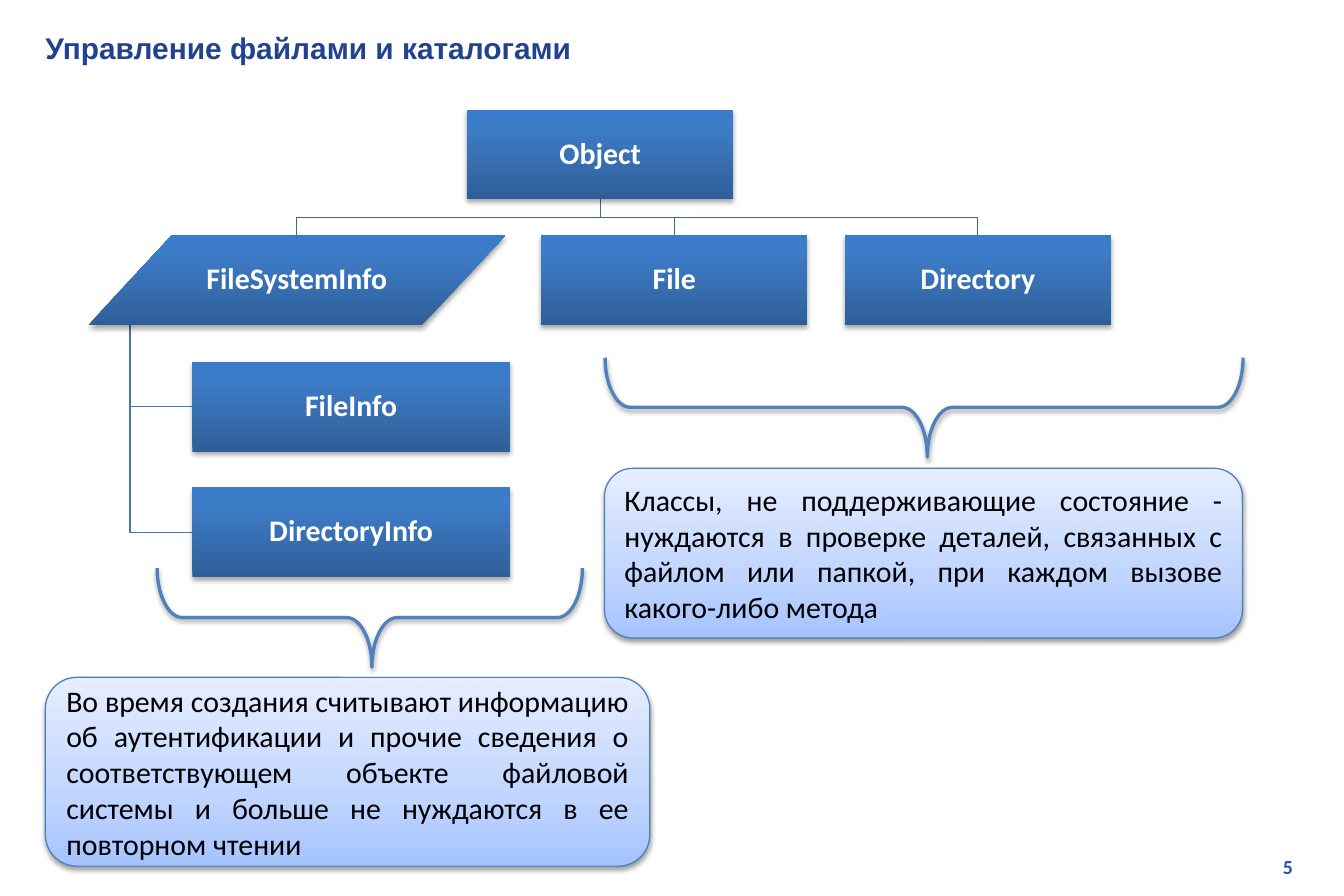
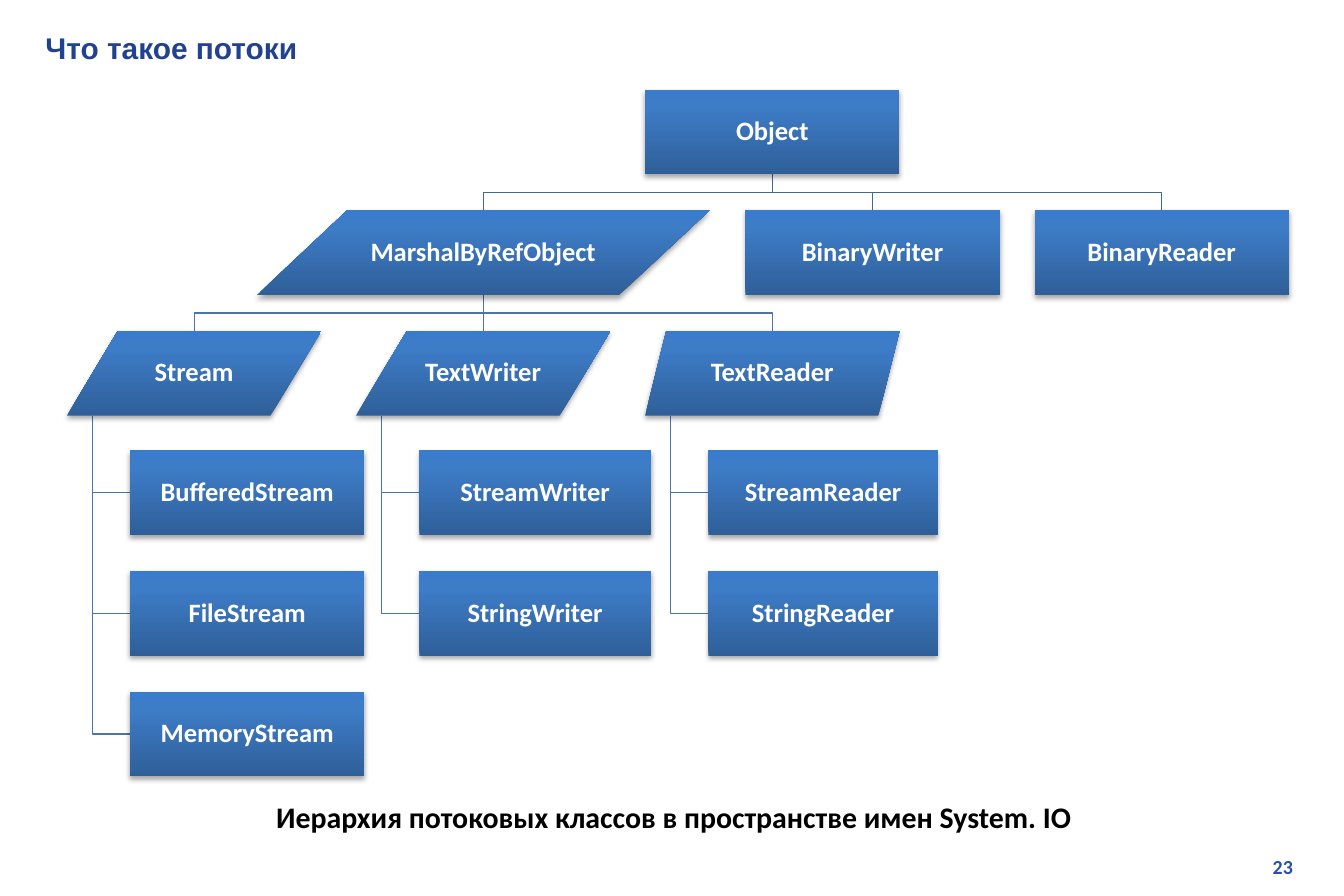
"""Builds two slides with class hierarchies for files and streams."""
from copy import deepcopy

from lxml.etree import SubElement
from pptx import Presentation
from pptx.dml.color import RGBColor
from pptx.enum.shapes import MSO_CONNECTOR as CONN, MSO_SHAPE as SHP
from pptx.enum.text import MSO_ANCHOR as ANCHOR, PP_ALIGN as ALIGN
from pptx.oxml.ns import qn
from pptx.util import Pt

PX = 9144
TITLE_BLUE = RGBColor(0x21, 0x43, 0x8F)
NUMBER_BLUE = RGBColor(0x27, 0x50, 0xAB)
UPPER_LINE = RGBColor(0x3F, 0x67, 0x97)
LOWER_LINE = RGBColor(0x48, 0x75, 0xAC)
BRACE_BLUE = RGBColor(0x4F, 0x81, 0xBD)
NOTE_LINE = RGBColor(0x4B, 0x7E, 0xBC)
WHITE = RGBColor(0xFF, 0xFF, 0xFF)
BLACK = RGBColor(0, 0, 0)
NODE_STOPS = [(0, RGBColor(0x2F, 0x5F, 0x99)), (0.8, RGBColor(0x3D, 0x7C, 0xC7)),
              (1, RGBColor(0x3A, 0x7C, 0xCB))]
NOTE_STOPS = [(0, RGBColor(0xA4, 0xC4, 0xFF)), (0.35, RGBColor(0xBF, 0xD4, 0xFF)),
              (1, RGBColor(0xE6, 0xEE, 0xFF))]
RECT, SLANT, PARA = SHP.RECTANGLE, SHP.FLOWCHART_DATA, SHP.PARALLELOGRAM

SLIDES = [
    {
        "title": "Управление файлами и каталогами", "number": "5",
        "top": 92, "pitch": 105.4, "height": 75, "size": 18,
        "nodes": [("Object", RECT, 391, 223, 0),
                  ("FileSystemInfo", SLANT, 74, 349, 1),
                  ("File", RECT, 453, 223, 1),
                  ("Directory", RECT, 707, 223, 1)],
        "across": {"Object": ["FileSystemInfo", "File", "Directory"]},
        "hanging": {"FileSystemInfo": (266, ["FileInfo", "DirectoryInfo"])},
        "braces": [(732, 74, 83, 534), (268, 339, 83, 356)],
        "notes": [
            ((506, 392, 534, 142),
             "Классы, не поддерживающие состояние - нуждаются в проверке деталей, "
             "связанных с файлом или папкой, при каждом вызове какого-либо метода"),
            ((38, 567, 506, 158),
             "Во время создания считывают информацию об аутентификации и прочие "
             "сведения о соответствующем объекте файловой системы и больше не "
             "нуждаются в ее повторном чтении"),
        ],
        "captions": [],
    },
    {
        "title": "Что такое потоки", "number": "23",
        "top": 75, "pitch": 100.8, "height": 71, "size": 16,
        "nodes": [("Object", RECT, 540, 213, 0),
                  ("MarshalByRefObject", SLANT, 215, 379, 1),
                  ("BinaryWriter", RECT, 624, 213, 1),
                  ("BinaryReader", RECT, 866, 213, 1),
                  ("Stream", SLANT, 56, 213, 2),
                  ("TextWriter", SLANT, 298, 213, 2),
                  ("TextReader", PARA, 540, 213, 2)],
        "across": {"Object": ["MarshalByRefObject", "BinaryWriter", "BinaryReader"],
                   "MarshalByRefObject": ["Stream", "TextWriter", "TextReader"]},
        "hanging": {"Stream": (196, ["BufferedStream", "FileStream", "MemoryStream"]),
                    "TextWriter": (194, ["StreamWriter", "StringWriter"]),
                    "TextReader": (192, ["StreamReader", "StringReader"])},
        "braces": [], "notes": [],
        "captions": ["Иерархия потоковых классов в пространстве имен System. IO "],
    },
]


def write(s, text, size, color, align, bold=True, name="Calibri"):
    tf = s.text_frame
    tf.word_wrap = True
    tf.vertical_anchor = ANCHOR.MIDDLE
    p = tf.paragraphs[0]
    p.alignment = align
    r = p.add_run()
    r.text = text
    r.font.color.rgb = color
    for key, value in {"size": Pt(size), "bold": bold, "name": name}.items():
        setattr(r.font, key, value)
    return p


def decorate(s, stops, alpha, dist):
    if stops:
        s.fill.gradient()
        s.fill.gradient_angle = 90
        gs_list = s._element.spPr.find(".//" + qn("a:gsLst"))
        gs_list.append(deepcopy(gs_list[0]))
        for stop, (position, color) in zip(s.fill.gradient_stops, stops):
            stop.position = position
            stop.color.rgb = color
    else:
        s.fill.background()
    s.shadow.inherit = False
    effects = s._element.spPr.find(qn("a:effectLst"))
    shadow = SubElement(effects, qn("a:outerShdw"), blurRad="40000", dist=str(dist),
                        dir="5400000", rotWithShape="0")
    black = SubElement(shadow, qn("a:srgbClr"), val="000000")
    SubElement(black, qn("a:alpha"), val=str(alpha * 1000))


prs = Presentation()
prs.slide_width, prs.slide_height = 1125 * PX, 750 * PX

for data in SLIDES:
    slide = prs.slides.add_slide(prs.slide_layouts[5])
    shapes = slide.shapes

    title = shapes.title
    for key, value in {"left": 28, "top": 20, "width": 1074, "height": 40}.items():
        setattr(title, key, value * PX)
    write(title, data["title"], 18, TITLE_BLUE, ALIGN.LEFT, name="Arial")
    number = shapes.add_textbox(854 * PX, 710 * PX, 238 * PX, 30 * PX)
    write(number, data["number"], 12, NUMBER_BLUE, ALIGN.RIGHT)

    nodes = list(data["nodes"])
    for name, kind, x, w, row in data["nodes"]:
        child_w, children = data["hanging"].get(name, (0, []))
        nodes += [(child, RECT, x + round(w / 4), child_w, row + i)
                  for i, child in enumerate(children, 1)]
    h = data["height"] * PX
    frames = {name: (x * PX, round(data["top"] + data["pitch"] * row) * PX, w * PX, h)
              for name, kind, x, w, row in nodes}

    routes = []
    for name, children in data["across"].items():
        left, top, width, height = frames[name]
        color = UPPER_LINE if name == "Object" else LOWER_LINE
        middle, bottom = left + width // 2, top + height
        for child in children:
            x, y, w, h = frames[child]
            center, bus = x + w // 2, (bottom + y) // 2
            bends = [] if center == middle else [(middle, bus), (center, bus)]
            routes.append((color, [(middle, bottom), *bends, (center, y)]))
    for name, (child_w, children) in data["hanging"].items():
        left, top, width, height = frames[name]
        trunk = left + width // 10
        for child in children:
            x, y, w, h = frames[child]
            center = y + h // 2
            routes.append((LOWER_LINE, [(trunk, top + height), (trunk, center),
                                        (x, center)]))

    for color, points in routes:
        if len(points) == 2:
            link = shapes.add_connector(CONN.STRAIGHT, *points[0], *points[1])
            SubElement(link._element.spPr, qn("a:effectLst"))
        else:
            builder = shapes.build_freeform(*points[0])
            builder.add_line_segments(points[1:], close=False)
            link = builder.convert_to_shape()
            link.fill.background()
            link.shadow.inherit = False
        link.line.color.rgb = color
        link.line.width = Pt(0.75)

    for name, kind, x, w, row in nodes:
        s = shapes.add_shape(kind, *frames[name])
        decorate(s, NODE_STOPS, 35, 23000)
        s.line.fill.background()
        tf = s.text_frame
        for side in ("left", "top", "right", "bottom"):
            setattr(tf, "margin_" + side, PX)
        write(s, name, data["size"], WHITE, ALIGN.CENTER).line_spacing = 0.9

    for frame in data["braces"]:
        brace = shapes.add_shape(SHP.RIGHT_BRACE, *[v * PX for v in frame])
        brace.rotation = 90
        brace.adjustments[0], brace.adjustments[1] = 0.255, 0.495
        decorate(brace, None, 38, 20000)
        brace.line.color.rgb = BRACE_BLUE
        brace.line.width = Pt(2)

    for frame, text in data["notes"]:
        note = shapes.add_shape(SHP.ROUNDED_RECTANGLE, *[v * PX for v in frame])
        decorate(note, NOTE_STOPS, 38, 20000)
        note.line.color.rgb = NOTE_LINE
        note.line.width = Pt(0.75)
        write(note, text, 18, BLACK, ALIGN.JUSTIFY, bold=False)

    for text in data["captions"]:
        caption = shapes.add_shape(SHP.ROUNDED_RECTANGLE, 28 * PX, 667 * PX,
                                   1078 * PX, 33 * PX)
        caption.shadow.inherit = False
        caption.fill.solid()
        caption.fill.fore_color.rgb = WHITE
        caption.line.fill.background()
        write(caption, text, 18, BLACK, ALIGN.CENTER)

prs.save("out.pptx")
